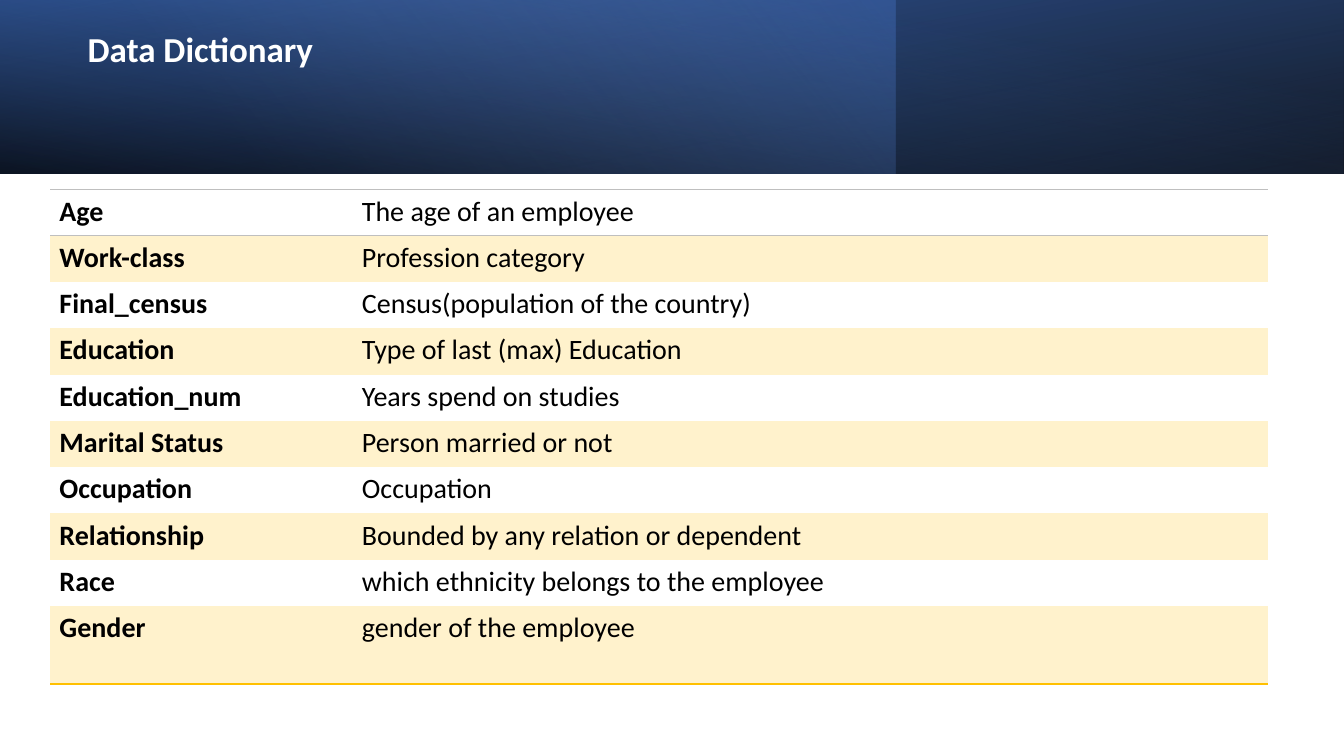
"""Build the data dictionary slide: a shaded title band above a two-column table."""
from dataclasses import dataclass

import lxml.etree
import pptx
import pptx.dml.color
import pptx.enum.text
import pptx.oxml
import pptx.oxml.ns
import pptx.util

Pt = pptx.util.Pt
RGB = pptx.dml.color.RGBColor.from_string
qn = pptx.oxml.ns.qn


@dataclass(frozen=True)
class Theme:
    font: str = "Calibri"
    white: str = "FFFFFF"
    black: str = "000000"
    gold: str = "FFC000"
    cream: str = "FFF2CC"
    grey: str = "BFBFBF"
    navy: str = "2F5597"
    blue: str = "4472C4"
    sky: str = "8FAADC"
    head: float = 25
    body: float = 20


@dataclass(frozen=True)
class Stop:
    place: int
    color: str
    alpha: int = 100


@dataclass(frozen=True)
class Band:
    width: float
    angle: int
    stops: tuple[Stop, ...]
    turn: int = 0
    flip: bool = False


@dataclass(frozen=True)
class Entry:
    term: str
    sense: str
    height: float = 33.1


THEME = Theme()
WIDE, HIGH, BAND_HIGH = 960, 540, 124
BANDS = (
    Band(WIDE, 100, (Stop(0, THEME.black, 96), Stop(100, THEME.navy)), 180, True),
    Band(640, 140, (Stop(0, THEME.blue, 41), Stop(74, THEME.sky, 0))),
    Band(WIDE, 260, (Stop(0, THEME.black, 63), Stop(78, THEME.blue, 15)), 0, True),
)
ENTRIES = (
    Entry("Age", "The age of an employee"),
    Entry("Work-class", "Profession category"),
    Entry("Final_census", "Census(population of the country)"),
    Entry("Education", "Type of last (max) Education"),
    Entry("Education_num", "Years spend on studies"),
    Entry("Marital Status", "Person married or not"),
    Entry("Occupation", "Occupation"),
    Entry("Relationship", "Bounded by any relation or dependent"),
    Entry("Race", "which ethnicity belongs to the employee"),
    Entry("Gender", "gender of the employee", 55.4),
)
COLS = (216, 654)
RULES = {0: (THEME.grey, 0.75), 1: (THEME.grey, 0.75), len(ENTRIES): (THEME.gold, 1.5)}


def shade(shape, band: Band) -> None:
    """Give a shape a linear gradient with clear stops."""
    props = shape._element.spPr
    grad = lxml.etree.Element(qn("a:gradFill"), rotWithShape="1")
    stops = lxml.etree.SubElement(grad, qn("a:gsLst"))
    for stop in band.stops:
        mark = lxml.etree.SubElement(stops, qn("a:gs"), pos=str(stop.place * 1000))
        tint = lxml.etree.SubElement(mark, qn("a:srgbClr"), val=stop.color)
        lxml.etree.SubElement(tint, qn("a:alpha"), val=str(stop.alpha * 1000))
    lxml.etree.SubElement(grad, qn("a:lin"), ang=str(band.angle * 60000), scaled="0")
    props.find(qn("a:prstGeom")).addnext(grad)
    if band.flip:
        props.find(qn("a:xfrm")).set("flipH", "1")


def add_band(slide, band: Band) -> None:
    """Draw one layer of the title band."""
    kind = pptx.enum.shapes.MSO_SHAPE.RECTANGLE
    shape = slide.shapes.add_shape(kind, 0, 0, Pt(band.width), Pt(BAND_HIGH))
    shape.shadow.inherit = False
    shape.line.fill.background()
    shape.rotation = band.turn
    shade(shape, band)


def write(frame, text: str, size: float, color: str, bold: bool) -> None:
    """Add one styled run to the first paragraph of a frame."""
    run = frame.paragraphs[0].add_run()
    run.text = text
    font = run.font
    font.name, font.size, font.bold = THEME.font, Pt(size), bold
    font.color.rgb = RGB(color)


def set_title(slide, text: str) -> None:
    """Place the title in front of the band."""
    title = slide.shapes.title
    title.left, title.top, title.width, title.height = map(Pt, (55.4, 19.4, 556, 91.4))
    frame = title.text_frame
    frame.word_wrap = True
    frame.auto_size = pptx.enum.text.MSO_AUTO_SIZE.NONE
    frame.vertical_anchor = pptx.enum.text.MSO_ANCHOR.TOP
    frame.paragraphs[0].alignment = pptx.enum.text.PP_ALIGN.LEFT
    frame.paragraphs[0].line_spacing = 0.9
    write(frame, text, THEME.head, THEME.white, True)
    slide.shapes._spTree.append(title._element)


def rule(cell, row: int) -> None:
    """Set all four borders of a cell, drawing only the ruled edges."""
    props = cell._tc.get_or_add_tcPr()
    edges = (("L", None), ("R", None), ("T", RULES.get(row)), ("B", RULES.get(row + 1)))
    for spot, (side, style) in enumerate(edges):
        line = lxml.etree.Element(qn("a:ln" + side))
        if style:
            color, width = style
            line.set("w", str(int(Pt(width))))
            fill = lxml.etree.SubElement(line, qn("a:solidFill"))
            lxml.etree.SubElement(fill, qn("a:srgbClr"), val=color)
        else:
            lxml.etree.SubElement(line, qn("a:noFill"))
        props.insert(spot, line)


def add_grid(slide) -> None:
    """Draw the table of terms and their senses."""
    high = sum(entry.height for entry in ENTRIES)
    table = slide.shapes.add_table(
        len(ENTRIES), len(COLS), Pt(36), Pt(135.2), Pt(sum(COLS)), Pt(high)
    ).table
    table.first_row = table.horz_banding = False
    for col, width in zip(table.columns, COLS):
        col.width = Pt(width)
    for row, entry in enumerate(ENTRIES):
        table.rows[row].height = Pt(entry.height)
        for col, text in enumerate((entry.term, entry.sense)):
            cell = table.cell(row, col)
            cell.margin_left = cell.margin_right = Pt(6.5)
            cell.margin_top = cell.margin_bottom = Pt(3.6)
            if row % 2:
                cell.fill.solid()
                cell.fill.fore_color.rgb = RGB(THEME.cream)
            else:
                cell.fill.background()
            rule(cell, row)
            write(cell.text_frame, text, THEME.body, THEME.black, col == 0)


def main() -> None:
    """Build and save the slide."""
    deck = pptx.Presentation()
    deck.slide_width, deck.slide_height = Pt(WIDE), Pt(HIGH)
    slide = deck.slides.add_slide(deck.slide_layouts[5])
    for band in BANDS:
        add_band(slide, band)
    set_title(slide, "Data Dictionary")
    add_grid(slide)
    deck.save("out.pptx")


if __name__ == "__main__":
    main()
